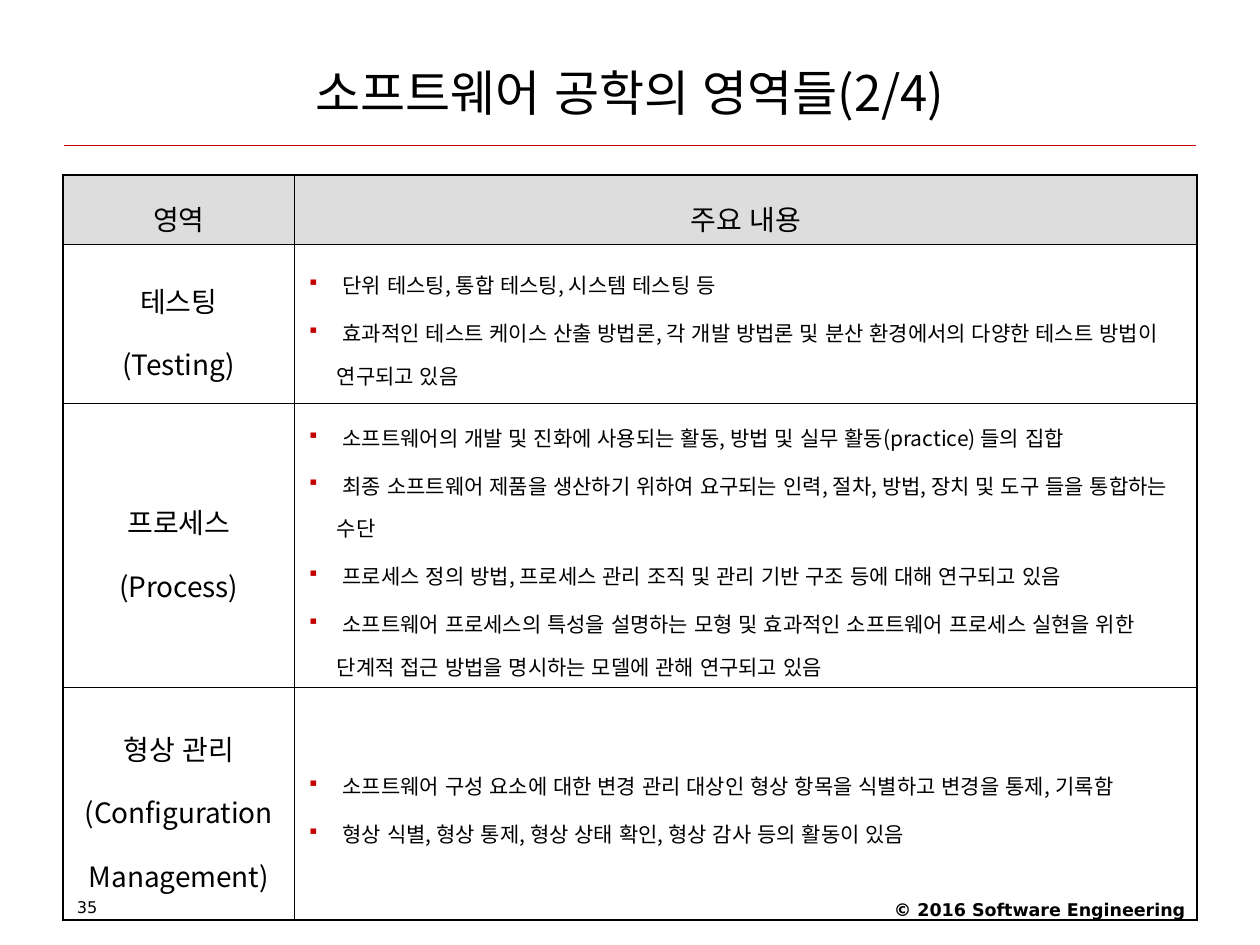
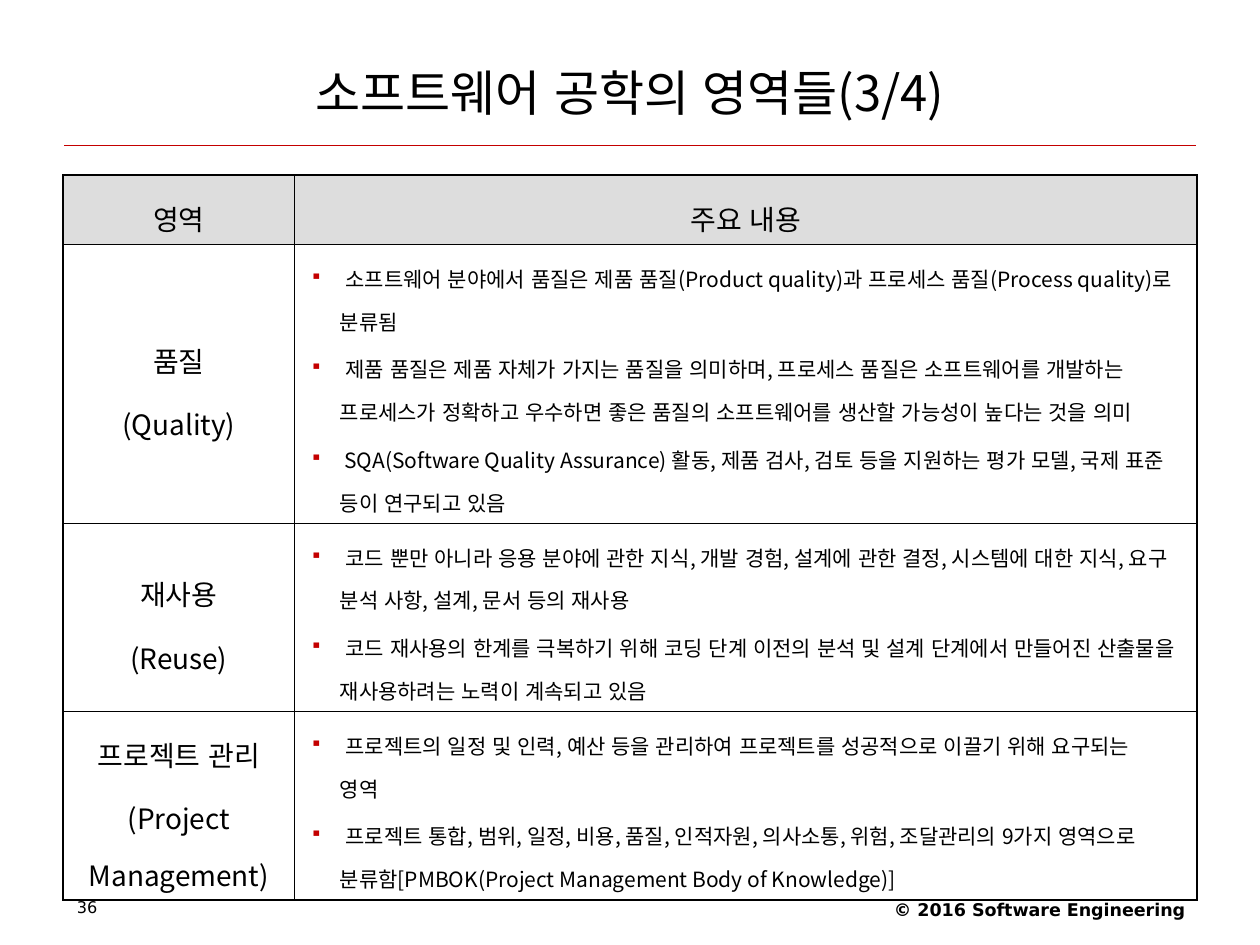
import pptx
import pptx.dml.color
import pptx.enum.shapes
import pptx.enum.text
import pptx.oxml
import pptx.oxml.ns
import pptx.util
import lxml.etree

Cm = pptx.util.Cm
Pt = pptx.util.Pt
RGB = pptx.dml.color.RGBColor
ALIGN = pptx.enum.text.PP_ALIGN
MIDDLE = pptx.enum.text.MSO_ANCHOR.MIDDLE
qn = pptx.oxml.ns.qn

RED = RGB(0xC4, 0x00, 0x00)
BLACK = RGB(0x00, 0x00, 0x00)
GREY = RGB(0xDD, 0xDD, 0xDD)
KOREAN = "Noto Sans CJK KR"
LATIN = "DejaVu Sans"

PAGE = (0, 0, 25.4, 19.05)
COLS = (4.67, 18.19)
HEADS = ("영역", "주요 내용")
THICK, THIN = 1.08, 0.45

TOPICS = [
    dict(
        part="(2/4)", page="35", insets=(0.25, 0.35),
        rows=(1.4, 3.2, 5.72, 4.7),
        areas=[
            (["테스팅", "(Testing)"], [
                "단위 테스팅, 통합 테스팅, 시스템 테스팅 등",
                "효과적인 테스트 케이스 산출 방법론, 각 개발 방법론 및 분산 환경에서의 다양한 테스트 방법이 연구되고 있음",
            ]),
            (["프로세스", "(Process)"], [
                "소프트웨어의 개발 및 진화에 사용되는 활동, 방법 및 실무 활동(practice) 들의 집합",
                "최종 소프트웨어 제품을 생산하기 위하여 요구되는 인력, 절차, 방법, 장치 및 도구 들을 통합하는 수단",
                "프로세스 정의 방법, 프로세스 관리 조직 및 관리 기반 구조 등에 대해 연구되고 있음",
                "소프트웨어 프로세스의 특성을 설명하는 모형 및 효과적인 소프트웨어 프로세스 실현을 위한 단계적 접근 방법을 명시하는 모델에 관해 연구되고 있음",
            ]),
            (["형상 관리", "(Configuration", "Management)"], [
                "소프트웨어 구성 요소에 대한 변경 관리 대상인 형상 항목을 식별하고 변경을 통제, 기록함",
                "형상 식별, 형상 통제, 형상 상태 확인, 형상 감사 등의 활동이 있음",
            ]),
        ],
    ),
    dict(
        part="(3/4)", page="36", insets=(0.31, 0.31),
        rows=(1.4, 5.62, 3.79, 3.81),
        areas=[
            (["품질", "(Quality)"], [
                "소프트웨어 분야에서 품질은 제품 품질(Product quality)과 프로세스 품질(Process quality)로 분류됨",
                "제품 품질은 제품 자체가 가지는 품질을 의미하며, 프로세스 품질은 소프트웨어를 개발하는 프로세스가 정확하고 우수하면 좋은 품질의 소프트웨어를 생산할 가능성이 높다는 것을 의미",
                "SQA(Software Quality Assurance) 활동, 제품 검사, 검토 등을 지원하는 평가 모델, 국제 표준 등이 연구되고 있음",
            ]),
            (["재사용", "(Reuse)"], [
                "코드 뿐만 아니라 응용 분야에 관한 지식, 개발 경험, 설계에 관한 결정, 시스템에 대한 지식, 요구 분석 사항, 설계, 문서 등의 재사용",
                "코드 재사용의 한계를 극복하기 위해 코딩 단계 이전의 분석 및 설계 단계에서 만들어진 산출물을 재사용하려는 노력이 계속되고 있음",
            ]),
            (["프로젝트 관리", "(Project Management)"], [
                "프로젝트의 일정 및 인력, 예산 등을 관리하여 프로젝트를 성공적으로 이끌기 위해 요구되는\n영역",
                "프로젝트 통합, 범위, 일정, 비용, 품질, 인적자원, 의사소통, 위험, 조달관리의 9가지 영역으로 분류함[PMBOK(Project Management Body of Knowledge)]",
            ]),
        ],
    ),
]


def add_run(para, text, size, face=KOREAN, bold=False):
    """Add black text in the given face, with a break at each newline."""
    for spot, piece in enumerate(text.split("\n")):
        if spot:
            para.add_line_break()
        run = para.add_run()
        run.text = piece
        font = run.font
        font.size, font.name, font.bold = Pt(size), face, bold
        font.color.rgb = BLACK
        font._element.set("lang", "ko-KR")
        font._element.set("kern", "0")
        lxml.etree.SubElement(font._element, qn("a:ea"), typeface=face)


def add_label(slide, box, text, size, align, space=1.0, **style):
    """Place a single-line text box."""
    frame = slide.shapes.add_textbox(*map(Cm, box)).text_frame
    frame.word_wrap = True
    para = frame.paragraphs[0]
    para.alignment, para.line_spacing = align, space
    add_run(para, text, size, **style)
    return frame


def add_title(slide, box, text):
    """Place the title with the red rule along its foot."""
    left, top, width, height = box
    add_label(slide, box, text, 28, ALIGN.CENTER).vertical_anchor = MIDDLE
    foot = Cm(top + height)
    rule = slide.shapes.add_connector(
        pptx.enum.shapes.MSO_CONNECTOR.STRAIGHT,
        Cm(left + 0.03), foot, Cm(left + width - 0.03), foot)
    rule.line.color.rgb = RED
    rule.line.width = Pt(0.75)
    lxml.etree.SubElement(rule._element.spPr, qn("a:effectLst"))


def add_foot(slide, box, page):
    """Place the page number at left and the credit at right."""
    left, top, width, height = box
    add_label(slide, (left, top + 0.02, 5.92, height), page, 9.2,
              ALIGN.LEFT, 0.9, face=LATIN)
    add_label(slide, (left + width - 8.01, top, 8.05, height),
              "© 2016 Software Engineering", 10, ALIGN.RIGHT,
              face=LATIN, bold=True)


def add_edges(cell, widths):
    """Draw the left, right, top and bottom edges of a cell."""
    props = cell._tc.get_or_add_tcPr()
    for spot, (side, width) in enumerate(zip("LRTB", widths)):
        props.insert(spot, pptx.oxml.parse_xml(
            f'<a:ln{side} xmlns:a="http://schemas.openxmlformats.org/drawingml/2006/main"'
            f' w="{Pt(width)}"><a:solidFill><a:srgbClr val="{BLACK}"/>'
            f'</a:solidFill></a:ln{side}>'))


def add_mark(para):
    """Give a paragraph a small red square bullet with a hanging indent."""
    props = para._p.get_or_add_pPr()
    props.set("marL", str(Cm(0.6)))
    props.set("indent", str(-Cm(0.6)))
    tint = lxml.etree.SubElement(props, qn("a:buClr"))
    lxml.etree.SubElement(tint, qn("a:srgbClr"), val=str(RED))
    lxml.etree.SubElement(props, qn("a:buSzPct"), val="80000")
    lxml.etree.SubElement(props, qn("a:buChar"), char="▪")


def fill_cell(cell, lines, insets, listed):
    """Write centred lines or a bullet list into a cell."""
    cell.vertical_anchor = MIDDLE
    cell.margin_left = Cm(insets[0])
    cell.margin_right = Cm(insets[1] if listed else insets[0])
    cell.margin_top = cell.margin_bottom = Cm(0.13)
    frame = cell.text_frame
    for spot, line in enumerate(lines):
        para = frame.add_paragraph() if spot else frame.paragraphs[0]
        para.line_spacing = 1.4
        para.space_before = Pt(3 if listed else 4)
        if listed:
            add_mark(para)
            add_run(para, " " + line, 12)
        else:
            para.alignment = ALIGN.CENTER
            add_run(para, line, 16)


def add_grid(slide, box, topic):
    """Place the table of areas and their contents."""
    rows = [[[head] for head in HEADS], *topic["areas"]]
    table = slide.shapes.add_table(
        len(rows), len(COLS), *map(Cm, box)).table
    table.first_row = table.horz_banding = False
    for column, width in zip(table.columns, COLS):
        column.width = Cm(width)
    for row, height in zip(table.rows, topic["rows"]):
        row.height = Cm(height)
    last = len(rows) - 1
    for r, row in enumerate(rows):
        for c, lines in enumerate(row):
            cell = table.cell(r, c)
            if r:
                cell.fill.background()
            else:
                cell.fill.solid()
                cell.fill.fore_color.rgb = GREY
            outer = (c == 0, c == 1, r == 0, r == last)
            add_edges(cell, [THICK if out else THIN for out in outer])
            fill_cell(cell, lines, topic["insets"], bool(r and c))


def add_topic(deck, box, topic):
    """Build one slide inside the given page box."""
    left, top, width, height = box
    slide = deck.slides.add_slide(deck.slide_layouts[6])
    left, width = left + 1.27, width - 2.54
    add_foot(slide, (left + 0.03, top + height - 1.05, width - 0.06, 0.72),
             topic["page"])
    add_title(slide, (left, top + 0.76, width, 2.17),
              "소프트웨어 공학의 영역들" + topic["part"])
    add_grid(slide, (left, top + 3.53, width, sum(topic["rows"])), topic)


def main():
    """Build and save the deck."""
    deck = pptx.Presentation()
    deck.slide_width, deck.slide_height = map(Cm, PAGE[2:])
    for topic in TOPICS:
        add_topic(deck, PAGE, topic)
    deck.save("out.pptx")


if __name__ == "__main__":
    main()
